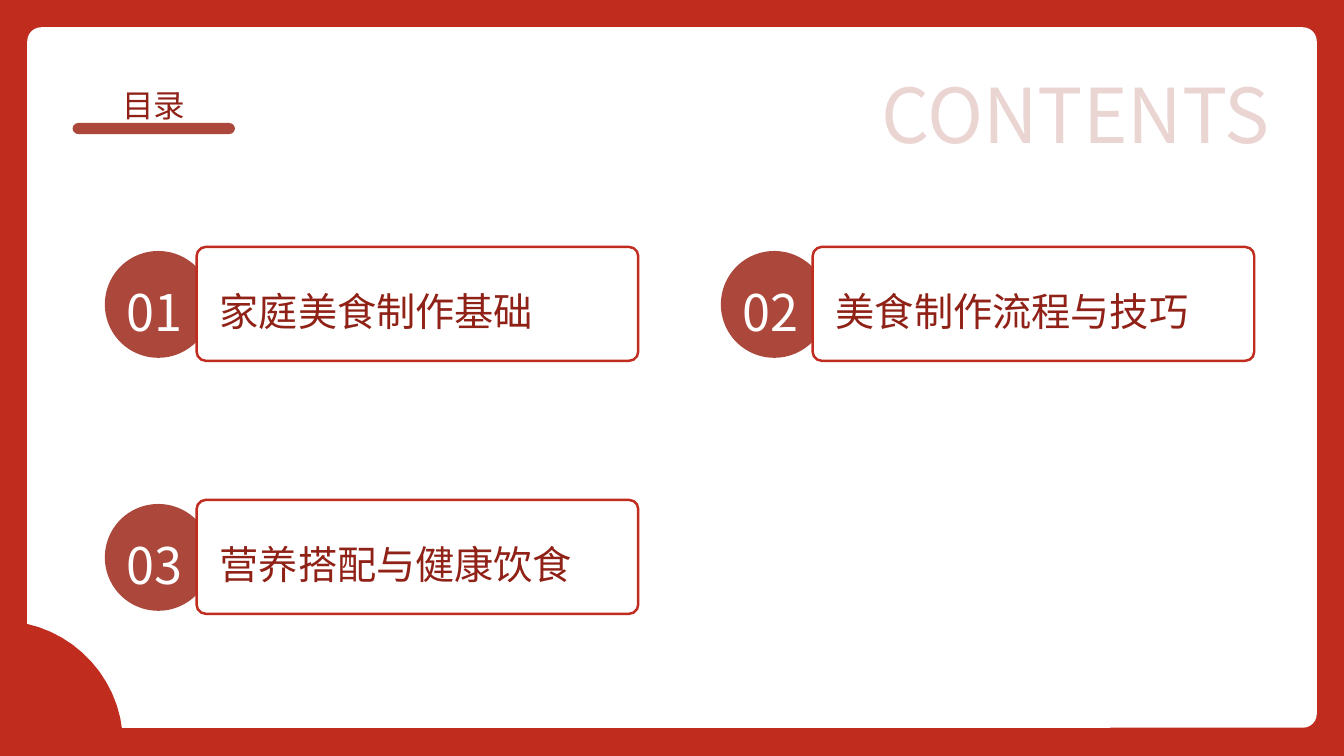
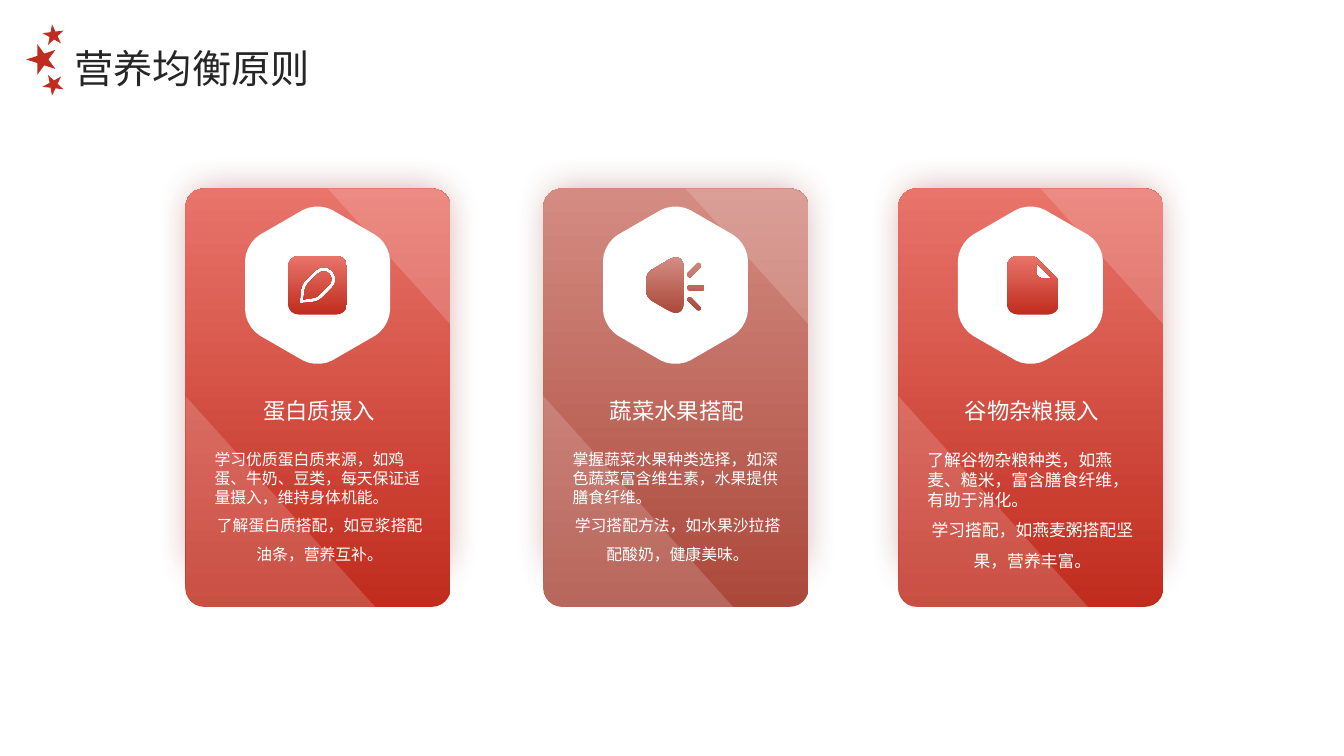
from dataclasses import dataclass
from math import cos, dist, radians, sin
from typing import NamedTuple

from lxml.etree import SubElement
from pptx import Presentation
from pptx.dml.color import RGBColor
from pptx.enum.shapes import MSO_SHAPE
from pptx.enum.text import MSO_ANCHOR, PP_ALIGN
from pptx.oxml.ns import qn
from pptx.shapes.autoshape import Shape
from pptx.slide import Slide
from pptx.text.text import _Paragraph
from pptx.util import Inches, Pt

WIDTH, HEIGHT = 13.33, 7.5
FONT = "Noto Sans CJK SC"
RED = RGBColor(0xC0, 0x2C, 0x1E)
CORAL = RGBColor(0xE8, 0x74, 0x6A)
BRICK = RGBColor(0xAB, 0x48, 0x3B)
ROSE = RGBColor(0xD4, 0x8C, 0x82)
MAROON = RGBColor(0x90, 0x21, 0x17)
BROWN = RGBColor(0x80, 0x36, 0x2C)
INK = RGBColor(0x26, 0x26, 0x26)
WHITE = RGBColor(0xFF, 0xFF, 0xFF)

AGENDA_COLUMN, AGENDA_ROW = 6.11, 2.51
AGENDA_LEFT, AGENDA_TOP = 1.01, 2.45
CARD_TOP, CARD_WIDTH, CARD_HEIGHT, CARD_CUT = 1.87, 2.63, 4.15, 0.19


class Box(NamedTuple):
    """Left, top, width and height in inches."""

    left: float
    top: float
    width: float
    height: float


class Corner(NamedTuple):
    """Outline corner with the length that its rounding cuts off each side."""

    x: float
    y: float
    cut: float = 0


Outline = list[Corner]


class Tone(NamedTuple):
    """Gradient from bottom to top, and the shadow colour."""

    bottom: RGBColor
    top: RGBColor
    shadow: RGBColor


@dataclass(frozen=True)
class Style:
    """Look of a text paragraph."""

    size: float
    color: RGBColor
    align: PP_ALIGN = PP_ALIGN.LEFT
    spacing: float = 1.3
    opacity: int = 100


@dataclass(frozen=True)
class Card:
    """One topic card of the nutrition slide."""

    left: float
    tone: Tone
    icon: list[Outline]
    title: str
    lead: str
    detail: str
    size: float


def corners(*points: tuple[float, ...]) -> Outline:
    """Turn plain tuples into outline corners."""
    return [Corner(*point) for point in points]


RED_TONE = Tone(RED, CORAL, MAROON)
BRICK_TONE = Tone(BRICK, ROSE, BROWN)
HEXAGON = [Corner(0.83 * sin(radians(a)), -0.83 * cos(radians(a)), 0.17) for a in range(0, 360, 60)]
PEN = [
    corners((-0.29, -0.29, 0.1), (0.29, -0.29, 0.1), (0.29, 0.29, 0.1), (-0.29, 0.29, 0.1)),
    corners((-0.18, 0.18), (-0.16, -0.01, 0.05), (0.06, -0.23, 0.12), (0.23, -0.06, 0.12), (0.01, 0.16, 0.05)),
    corners((-0.14, 0.14), (-0.12, 0.01, 0.03), (0.06, -0.17, 0.08), (0.17, -0.06, 0.08), (-0.01, 0.12, 0.03)),
]
SPEAKER = [
    corners((-0.29, -0.12, 0.06), (0.08, -0.34, 0.16), (0.08, 0.34, 0.16), (-0.29, 0.12, 0.06)),
    corners((0.11, -0.11, 0.02), (0.23, -0.23, 0.02), (0.26, -0.19, 0.02), (0.14, -0.07, 0.02)),
    corners((0.12, 0, 0.02), (0.29, 0, 0.02), (0.29, 0.05, 0.02), (0.12, 0.05, 0.02)),
    corners((0.14, 0.11, 0.02), (0.26, 0.23, 0.02), (0.23, 0.26, 0.02), (0.11, 0.14, 0.02)),
]
PAGE = [
    corners((-0.23, -0.29, 0.1), (0.04, -0.29, 0.03), (0.28, -0.05, 0.03), (0.28, 0.29, 0.1), (-0.23, 0.29, 0.1)),
    corners((0.06, -0.22), (0.06, -0.07, 0.05), (0.21, -0.07)),
]
GLOSSES = [
    corners((0, 2.06), (1.88, CARD_HEIGHT), (0, CARD_HEIGHT, CARD_CUT)),
    corners((1.41, 0), (CARD_WIDTH, 0, CARD_CUT), (CARD_WIDTH, 1.35)),
]
CHAPTERS = ["家庭美食制作基础", "美食制作流程与技巧", "营养搭配与健康饮食"]
CARDS = [
    Card(1.84, RED_TONE, PEN, "蛋白质摄入",
         "学习优质蛋白质来源，如鸡蛋、牛奶、豆类，每天保证适量摄入，维持身体机能。",
         "了解蛋白质搭配，如豆浆搭配油条，营养互补。", 11.3),
    Card(5.39, BRICK_TONE, SPEAKER, "蔬菜水果搭配",
         "掌握蔬菜水果种类选择，如深色蔬菜富含维生素，水果提供膳食纤维。",
         "学习搭配方法，如水果沙拉搭配酸奶，健康美味。", 11.3),
    Card(8.91, RED_TONE, PAGE, "谷物杂粮摄入",
         "了解谷物杂粮种类，如燕麦、糙米，富含膳食纤维，有助于消化。",
         "学习搭配，如燕麦粥搭配坚果，营养丰富。", 12),
]


def set_opacity(color_parent, percent: int) -> None:
    """Make the solid colour below an element partly transparent."""
    for color in color_parent.iter(qn("a:srgbClr")):
        SubElement(color, qn("a:alpha"), val=str(percent * 1000))


def paint(sp: Shape, fill: RGBColor | Tone, opacity: int = 100) -> None:
    """Give a shape a solid or gradient fill, without line or shadow."""
    sp.shadow.inherit = False
    sp.line.fill.background()
    if isinstance(fill, Tone):
        sp.fill.gradient()
        sp.fill.gradient_angle = 90
        for stop, color in zip(sp.fill.gradient_stops, fill[:2]):
            stop.color.rgb = color
        return
    sp.fill.solid()
    sp.fill.fore_color.rgb = fill
    if opacity < 100:
        set_opacity(sp._element.spPr, opacity)


def add_preset(s: Slide, kind: MSO_SHAPE, box: Box, fill: RGBColor | Tone, rounding: float | None = None) -> Shape:
    """Draw a preset shape."""
    sp = s.shapes.add_shape(kind, *map(Inches, box))
    if rounding is not None:
        sp.adjustments[0] = rounding
    paint(sp, fill)
    return sp


def round_corners(outline: Outline) -> list[tuple[float, float]]:
    """Replace each cut corner by points along a cubic curve."""
    points = []
    for i, corner in enumerate(outline):
        tip = corner[:2]
        if not corner.cut:
            points.append(tip)
            continue
        ends = []
        for other in (outline[i - 1], outline[(i + 1) % len(outline)]):
            share = corner.cut / dist(tip, other[:2])
            ends.append([a + (b - a) * share for a, b in zip(tip, other)])
        start, end = ends
        steps = 3 + round(corner.cut * 10)
        for t in (n / steps for n in range(steps + 1)):
            u = 1 - t
            near, far = u**3 + 1.35 * u * u * t, t**3 + 1.35 * t * t * u
            points.append(tuple(near * a + far * b + (1 - near - far) * c for a, b, c in zip(start, end, tip)))
    return points


def add_outlines(s: Slide, outlines: list[Outline], fill: RGBColor | Tone,
                 x: float = 0, y: float = 0, opacity: int = 100) -> None:
    """Draw closed outlines, placed from x and y, as one freeform."""
    builder = None
    for outline in outlines:
        first, *rest = [(Inches(x + px), Inches(y + py)) for px, py in round_corners(outline)]
        if builder is None:
            builder = s.shapes.build_freeform(*first)
        else:
            builder.move_to(*first)
        builder.add_line_segments(rest, close=True)
    paint(builder.convert_to_shape(), fill, opacity)


def star(x: float, y: float, radius: float, angle: float) -> Outline:
    """Give the outline of a five-pointed star."""
    turns = [(radius * (0.38 if n % 2 else 1), radians(angle + 36 * n)) for n in range(10)]
    return [Corner(x + r * cos(a), y + r * sin(a)) for r, a in turns]


def format_paragraph(p: _Paragraph, style: Style) -> None:
    """Apply a style to a paragraph and its runs."""
    p.alignment = style.align
    p.line_spacing = style.spacing
    p._p.get_or_add_pPr().set("hangingPunct", "0")
    for r in p.runs:
        r.font.size = Pt(style.size)
        r.font.name = FONT
        r.font.color.rgb = style.color
        rpr = r.font._element
        SubElement(rpr, qn("a:ea"), typeface=FONT)
        if style.opacity < 100:
            set_opacity(rpr, style.opacity)


def add_text(s: Slide, box: Box, lines: list[tuple[str, Style]], middle: bool = True, padded: bool = False) -> None:
    """Draw a text box with one style per paragraph."""
    tf = s.shapes.add_textbox(*map(Inches, box)).text_frame
    tf.word_wrap = True
    tf.vertical_anchor = MSO_ANCHOR.MIDDLE if middle else MSO_ANCHOR.TOP
    if not padded:
        tf.margin_left = tf.margin_right = tf.margin_top = tf.margin_bottom = 0
    tf.text = "\n".join(text for text, _ in lines)
    for p, (_, style) in zip(tf.paragraphs, lines):
        format_paragraph(p, style)


def add_glow(sp: Shape, color: RGBColor) -> None:
    """Put a soft shadow around the upper part of a card."""
    effects = sp._element.spPr.find(qn("a:effectLst"))
    shadow = SubElement(effects, qn("a:outerShdw"), blurRad=str(Pt(26)), dist=str(Pt(2)),
                        dir="5400000", sx="95000", sy="90000", algn="t", rotWithShape="0")
    SubElement(shadow, qn("a:srgbClr"), val=str(color))
    set_opacity(shadow, 43)


def add_chapter(s: Slide, index: int, title: str) -> None:
    """Draw one numbered agenda entry in its grid cell."""
    row, column = divmod(index, 2)
    x, y = AGENDA_LEFT + column * AGENDA_COLUMN, AGENDA_TOP + row * AGENDA_ROW
    add_preset(s, MSO_SHAPE.OVAL, Box(x + 0.03, y + 0.04, 1.06, 1.06), BRICK)
    add_text(s, Box(x, y - 0.02, 1.04, 1.13), [(f"{index + 1:02}", Style(36, WHITE, PP_ALIGN.CENTER))])
    frame = add_preset(s, MSO_SHAPE.ROUNDED_RECTANGLE, Box(x + 0.94, y, 4.38, 1.13), WHITE, 0.08)
    frame.line.color.rgb = RED
    frame.line.width = Pt(1.75)
    add_text(s, Box(x + 1.17, y + 0.01, 4.1, 1.11), [(title, Style(28, MAROON))])


def add_card(s: Slide, card: Card) -> None:
    """Draw one topic card with its icon and texts."""
    box = Box(card.left, CARD_TOP, CARD_WIDTH, CARD_HEIGHT)
    add_glow(add_preset(s, MSO_SHAPE.ROUNDED_RECTANGLE, box, card.tone, 0.07), card.tone.shadow)
    for gloss in GLOSSES:
        add_outlines(s, [gloss], WHITE, card.left, CARD_TOP, 17)
    center = card.left + 1.31, CARD_TOP + 0.96
    add_outlines(s, [HEXAGON], WHITE, *center)
    add_outlines(s, card.icon, card.tone, *center)
    x = card.left + 0.19
    lead = Style(card.size, WHITE, spacing=1.0)
    detail = Style(card.size, WHITE, PP_ALIGN.CENTER, 1.5)
    add_text(s, Box(x, 4.41, 2.28, 1.34), [(card.lead, lead), (card.detail, detail)], False, True)
    add_text(s, Box(x, 3.74, 2.27, 0.58), [(card.title, Style(16, WHITE, PP_ALIGN.CENTER))], padded=True)


def add_agenda_slide(s: Slide) -> None:
    """Build the contents slide."""
    add_preset(s, MSO_SHAPE.RECTANGLE, Box(0, 0, WIDTH, HEIGHT), RED)
    add_preset(s, MSO_SHAPE.ROUNDED_RECTANGLE, Box(0.27, 0.27, WIDTH - 0.54, HEIGHT - 0.55), WHITE, 0.02)
    add_preset(s, MSO_SHAPE.ROUNDED_RECTANGLE, Box(0.72, 1.22, 1.61, 0.11), BRICK, 0.5)
    add_text(s, Box(0.78, 0.64, 1.49, 0.69), [("目录", Style(22.5, MAROON, PP_ALIGN.CENTER))])
    add_text(s, Box(7.53, 0.64, 5.06, 0.69), [("CONTENTS", Style(54, MAROON, PP_ALIGN.RIGHT, opacity=18))])
    add_outlines(s, [corners((0, 6.16), (1.22, 6.16, 1.22), (1.22, HEIGHT), (0, HEIGHT))], RED)
    for index, title in enumerate(CHAPTERS):
        add_chapter(s, index, title)


def add_nutrition_slide(s: Slide) -> None:
    """Build the slide with three topic cards."""
    for card in CARDS:
        add_card(s, card)
    add_text(s, Box(0.74, 0.3, 11.35, 0.59), [("营养均衡原则", Style(28, INK))], False)
    add_outlines(s, [star(0.53, 0.84, 0.11, -119), star(0.42, 0.59, 0.16, 180), star(0.53, 0.35, 0.11, -97)], RED)


def main() -> None:
    """Build and save the presentation."""
    prs = Presentation()
    prs.slide_width, prs.slide_height = Inches(WIDTH), Inches(HEIGHT)
    for build in (add_agenda_slide, add_nutrition_slide):
        build(prs.slides.add_slide(prs.slide_layouts[6]))
    prs.save("out.pptx")


if __name__ == "__main__":
    main()
